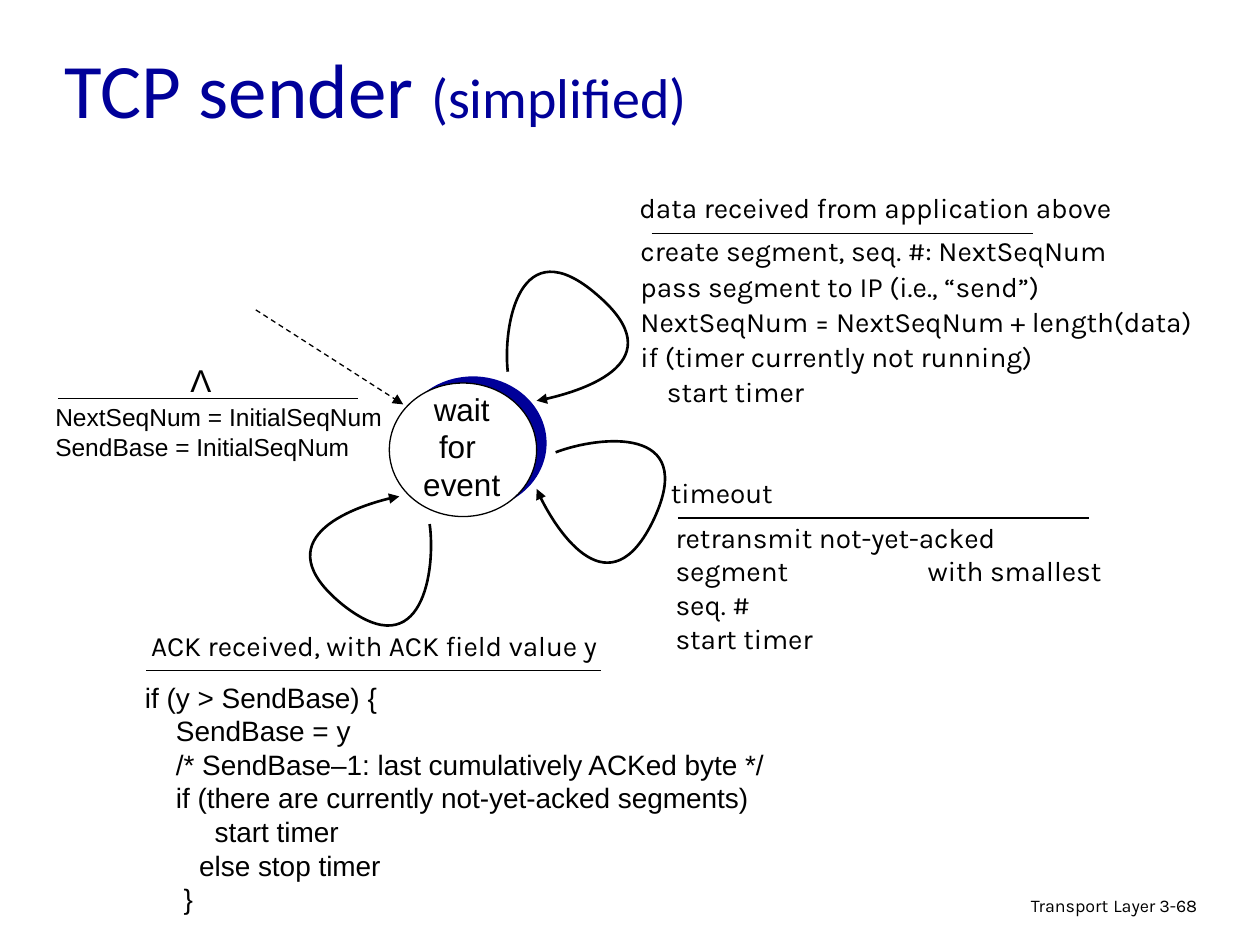
from pptx import Presentation
from pptx.util import Pt
from pptx.dml.color import RGBColor as RGB
from pptx.enum.dml import MSO_LINE as DASH
from pptx.enum.shapes import MSO_CONNECTOR as LINK, MSO_SHAPE as SHAPE
from pptx.enum.text import MSO_ANCHOR as ANCHOR, MSO_AUTO_SIZE as FIT, PP_ALIGN as ALIGN
from pptx.oxml.ns import qn
from lxml.etree import SubElement as Sub

COLOR = {"ink": "000000", "blue": "000099", "paper": "FFFFFF"}
ARIAL, KARLA = {"name": "Arial"}, {"name": "Karla"}

deck = Presentation()
deck.slide_width, deck.slide_height = Pt(720), Pt(540)
slide = deck.slides.add_slide(deck.slide_layouts[6])
shapes = slide.shapes


def write(box, lines, face, size=16, color="ink", wrap=False, **form):
    """Add a text box; a line is a string or a list of (text, size) runs."""
    frame = shapes.add_textbox(*map(Pt, box)).text_frame
    frame.word_wrap = wrap
    frame.auto_size = FIT.NONE if wrap else FIT.SHAPE_TO_FIT_TEXT
    for i, line in enumerate(lines):
        para = frame.paragraphs[0] if i == 0 else frame.add_paragraph()
        for key, value in form.items():
            setattr(para, key, value)
        for words, points in [(line, size)] if isinstance(line, str) else line:
            run = para.add_run()
            run.text = words
            run.font.color.rgb = RGB.from_string(COLOR[color])
            for key, value in {**face, "size": Pt(points)}.items():
                setattr(run.font, key, value)
    return frame


def stroke(shape, width=0.75, arrow=False):
    """Give a line its ink, its width and, if asked, an arrowhead."""
    shape.line.color.rgb = RGB.from_string(COLOR["ink"])
    shape.line.width = Pt(width)
    if arrow:
        Sub(shape.line._get_or_add_ln(), qn("a:tailEnd"), type="triangle")


# Footer
write((439.2, 507.6, 228.2, 22.3), [[("Transport", 10.2), (" ", 11.9), ("Layer", 10.2)]],
      KARLA, wrap=True, alignment=ALIGN.RIGHT, line_spacing=0.9)
write((655.4, 509, 53.3, 21.6), ["3-68"], KARLA, 10.2, wrap=True, line_spacing=0.9)

# State circle with its blue shade
for left, top, fill in ((228.2, 215.1, "blue"), (222.5, 218.9, "paper")):
    oval = shapes.add_shape(SHAPE.OVAL, Pt(left), Pt(top), Pt(84.2), Pt(76.3))
    oval.shadow.inherit = False
    oval.fill.solid()
    oval.fill.fore_color.rgb = RGB.from_string(COLOR[fill])
    if fill == "paper":
        stroke(oval)
    else:
        oval.line.fill.background()

# Title
title = write((29.9, 14.9, 609.1, 70.6), [[("TCP sender ", 44), ("(simplified)", 32)]],
              {"name": "Calibri"}, color="blue", wrap=True)
title.vertical_anchor = ANCHOR.MIDDLE

# State name
write((234.7, 219.1, 58.3, 72), ["wait", "for ", "event"], ARIAL, 18, alignment=ALIGN.CENTER)

# Rules between event and action, and the dashed start arrow
for x1, y1, x2, y2 in ((33.1, 227.7, 204.5, 227.7), (372.4, 133.5, 590.4, 133.5),
                       (387.4, 296.1, 622.5, 296.1), (83.7, 383.2, 343.4, 383.2),
                       (146.2, 177.1, 230.4, 231.1)):
    start = y1 != y2
    link = shapes.add_connector(LINK.STRAIGHT, Pt(x1), Pt(y1), Pt(x2), Pt(y2))
    if start:
        link.line.dash_style = DASH.DASH
    stroke(link, arrow=start)
    Sub(link._element.spPr, qn("a:effectLst"))

# Events
for box, event, face, size in (
        ((101.5, 202.5, 26.6, 28.8), "Λ", ARIAL, 18),
        ((354.2, 105.1, 292.3, 26.6), "data received from application above", KARLA, 16),
        ((375.8, 268.4, 73.4, 26.6), "timeout", KARLA, 16),
        ((71.6, 355.7, 284.4, 26.6), "ACK received, with ACK field value y", KARLA, 16)):
    write(box, [event], face, size, alignment=ALIGN.CENTER)

# Actions
write((24.5, 226.4, 206, 41), ["NextSeqNum = InitialSeqNum", "SendBase = InitialSeqNum"],
      ARIAL, 14)
write((358.9, 129.2, 344.2, 127.4), [
    "create segment, seq. #: NextSeqNum",
    "pass segment to IP (i.e., “send”)",
    "NextSeqNum = NextSeqNum + length(data)",
    "if (timer currently not running)",
    "    start timer"], KARLA, line_spacing=1.05)
resend = write((379, 293.8, 259.2, 84.2), [
    "retransmit not-yet-acked segment\twith smallest seq. #",
    "start timer"], KARLA, wrap=True)
tabs = Sub(resend.paragraphs[0]._p.get_or_add_pPr(), qn("a:tabLst"))
Sub(tabs, qn("a:tab"), pos=str(Pt(144)), algn="l")
write((75.8, 385.2, 369.4, 141.8), [
    "if (y > SendBase) {",
    "    SendBase = y",
    "    /* SendBase–1: last cumulatively ACKed byte */",
    "    if (there are currently not-yet-acked segments)",
    "         start timer",
    "       else stop timer",
    "     }"], ARIAL)

# Loops: each is two cubic curves through seven points
loops = (
    ((290.2, 212.4), (287.3, 186.5), (296.6, 129.6), (341.3, 168.5),
     (385.9, 206.6), (325.4, 226.1), (306.7, 229)),
    ((317.5, 258.5), (342, 249.1), (398.9, 242.6), (373.7, 296.6),
     (348.5, 349.9), (313.2, 296.6), (306.7, 279.4)),
    ((245.5, 299.5), (249.1, 324.7), (241.9, 382.3), (195.8, 345.6),
     (149.8, 308.2), (209.5, 286.6), (228.2, 283.7)))
for loop in loops:
    dots = [(round(x * 100), round(y * 100)) for x, y in loop]
    build = shapes.build_freeform(*dots[0], scale=Pt(1) / 100)
    build.add_line_segments(dots[1:], close=False)
    arc = build.convert_to_shape()
    # Turn each three straight pieces into one cubic curve
    trace = arc._element.find(".//" + qn("a:path"))
    pieces = trace.findall(qn("a:lnTo"))
    for trio in (pieces[:3], pieces[3:]):
        curve = Sub(trace, qn("a:cubicBezTo"))
        for piece in trio:
            curve.append(piece[0])
            trace.remove(piece)
    arc.shadow.inherit = False
    arc.fill.background()
    stroke(arc, 1.5, True)

deck.save("out.pptx")
